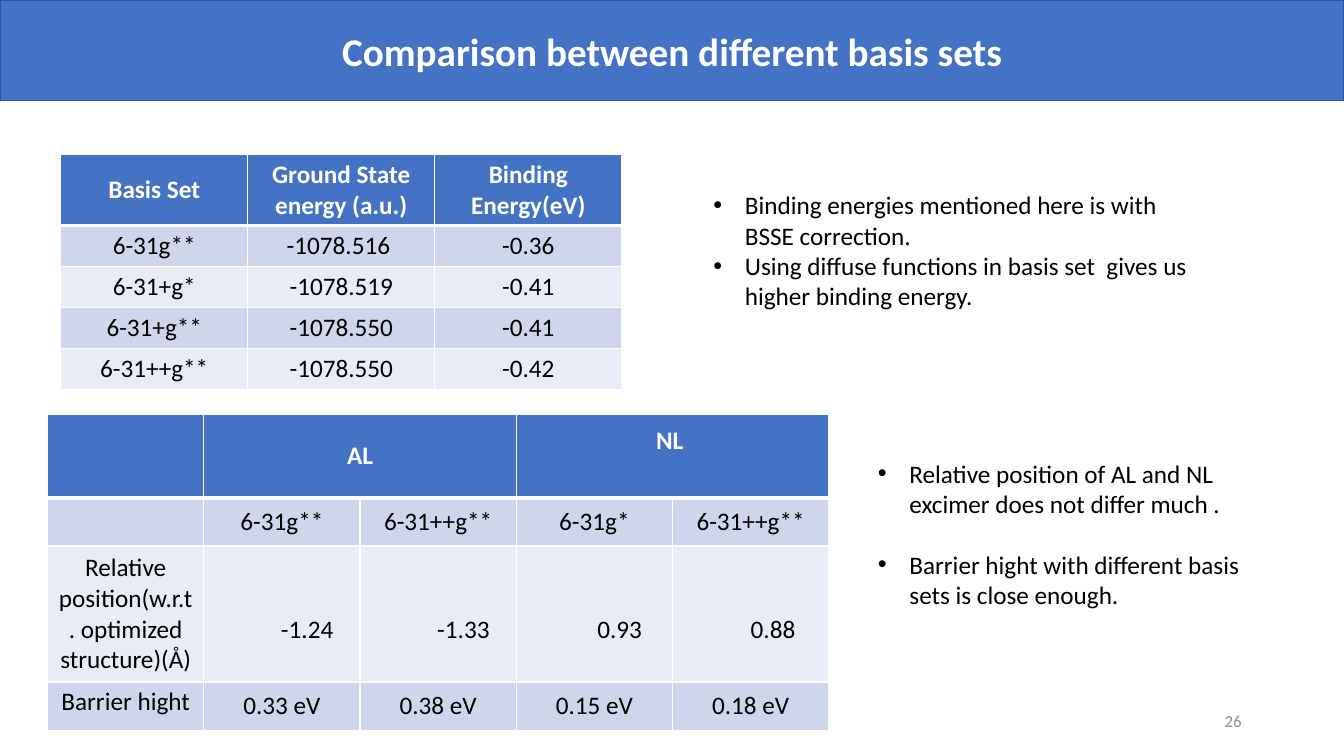
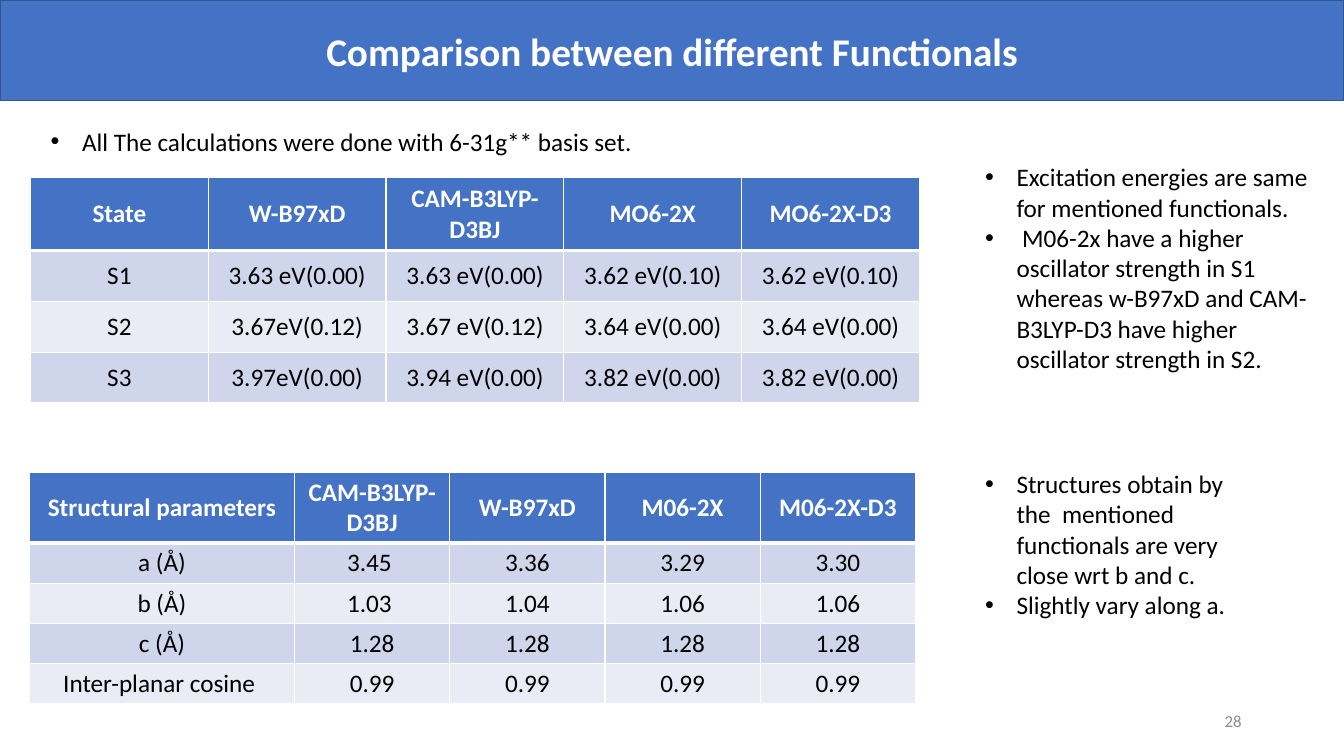
from dataclasses import dataclass, field

from lxml.etree import SubElement
from pptx import Presentation
from pptx.dml.color import RGBColor
from pptx.enum.text import MSO_ANCHOR as Anchor, MSO_AUTO_SIZE as AutoSize, PP_ALIGN as Align
from pptx.oxml.ns import qn
from pptx.slide import Slide
from pptx.table import _Cell as TableCell
from pptx.text.text import TextFrame, _Paragraph as Paragraph
from pptx.util import Pt


# Theme: colours, type sizes and shared measures
@dataclass(frozen=True)
class Theme:
    font: str = "Calibri"
    band: str = "4472C4"
    band_line: str = "325491"
    stripes: tuple[str, str] = ("CFD5EA", "E9EBF5")
    white: str = "FFFFFF"
    text: str = "000000"
    number: str = "8C8C8C"
    title_size: float = 28
    body_size: float = 18
    number_size: float = 12
    line_height: float = 22
    bullet_indent: float = 22.5
    side_margin: float = 7.2
    cell_margin: float = 3.3


THEME = Theme()
SLIDE_WIDTH, SLIDE_HEIGHT, BAND_HEIGHT = 960, 540, 72


# Content records
@dataclass(frozen=True)
class Cell:
    text: str
    span: int = 1
    anchor: Anchor = Anchor.MIDDLE
    left: float = 0
    above: float = 0
    below: float = 0


@dataclass(frozen=True)
class Grid:
    left: float
    top: float
    columns: list[float]
    rows: list[float]
    cells: list[list[str | Cell | None]]


@dataclass(frozen=True)
class Bullets:
    left: float
    top: float
    width: float
    height: float
    items: list[str]
    gap: float = 0


@dataclass(frozen=True)
class Page:
    title: str
    number: str
    grids: list[Grid] = field(default_factory=list)
    bullets: list[Bullets] = field(default_factory=list)


def rgb(colour: str) -> RGBColor:
    return RGBColor.from_string(colour)


# Text
def add_bullet(paragraph: Paragraph) -> None:
    properties = paragraph._p.get_or_add_pPr()
    indent = Pt(THEME.bullet_indent)
    properties.set("marL", str(indent))
    properties.set("indent", str(-indent))
    SubElement(properties, qn("a:buFont")).set("typeface", "Arial")
    SubElement(properties, qn("a:buChar")).set("char", "•")


def write_text(frame: TextFrame, text: str, *, size: float = THEME.body_size,
               colour: str = THEME.text, bold: bool = False, align: Align = Align.LEFT,
               anchor: Anchor = Anchor.TOP, bullet: bool = False, gap: float = 0) -> None:
    """Write one paragraph for each line of text."""
    frame.word_wrap = True
    frame.vertical_anchor = anchor
    for index, line in enumerate(text.split("\n")):
        paragraph = frame.add_paragraph() if index else frame.paragraphs[0]
        if bullet:
            add_bullet(paragraph)
        paragraph.alignment = align
        paragraph.space_before = Pt(gap if index else 0)
        run = paragraph.add_run()
        run.text = line
        run.font.name = THEME.font
        run.font.size = Pt(size)
        run.font.bold = bold
        run.font.color.rgb = rgb(colour)


def add_text(slide: Slide, left: float, top: float, width: float, height: float,
             text: str, **text_format) -> None:
    box = slide.shapes.add_textbox(Pt(left), Pt(top), Pt(width), Pt(height))
    write_text(box.text_frame, text, **text_format)


# Title band
def set_title(slide: Slide, text: str) -> None:
    title = slide.shapes.title
    title.left, title.top = Pt(0), Pt(0)
    title.width, title.height = Pt(SLIDE_WIDTH), Pt(BAND_HEIGHT)
    title.fill.solid()
    title.fill.fore_color.rgb = rgb(THEME.band)
    title.line.color.rgb = rgb(THEME.band_line)
    title.line.width = Pt(1)
    title.text_frame.auto_size = AutoSize.NONE
    write_text(title.text_frame, text, size=THEME.title_size, colour=THEME.white,
               bold=True, align=Align.CENTER, anchor=Anchor.MIDDLE)


# Tables
def set_borders(cell: TableCell, row: int) -> None:
    properties = cell._tc.get_or_add_tcPr()
    widths = {"lnL": 1, "lnR": 1, "lnT": 3 if row == 1 else 1, "lnB": 3 if row == 0 else 1}
    for name, width in widths.items():
        line = SubElement(properties, qn(f"a:{name}"))
        line.set("w", str(Pt(width)))
        fill = SubElement(line, qn("a:solidFill"))
        SubElement(fill, qn("a:srgbClr")).set("val", THEME.white)


def style_cell(cell: TableCell, content: Cell, row: int) -> None:
    header = row == 0
    set_borders(cell, row)
    cell.fill.solid()
    cell.fill.fore_color.rgb = rgb(THEME.band if header else THEME.stripes[(row - 1) % 2])
    cell.margin_left = Pt(THEME.side_margin + content.left)
    cell.margin_right = Pt(THEME.side_margin)
    cell.margin_top = Pt(THEME.cell_margin + content.above)
    cell.margin_bottom = Pt(THEME.cell_margin + content.below)
    if content.text:
        write_text(cell.text_frame, content.text, bold=header, align=Align.CENTER,
                   colour=THEME.white if header else THEME.text)
    cell.vertical_anchor = content.anchor


def add_grid(slide: Slide, grid: Grid) -> None:
    frame = slide.shapes.add_table(len(grid.rows), len(grid.columns), Pt(grid.left), Pt(grid.top),
                                   Pt(sum(grid.columns)), Pt(sum(grid.rows)))
    table = frame.table
    for column, width in zip(table.columns, grid.columns):
        column.width = Pt(width)
    for row, height in zip(table.rows, grid.rows):
        row.height = Pt(height)
    for row, contents in enumerate(grid.cells):
        for column, content in enumerate(contents):
            cell = table.cell(row, column)
            if content is None:  # covered by the merged cell on its left
                style_cell(cell, Cell(""), row)
                continue
            content = content if isinstance(content, Cell) else Cell(content)
            if content.span > 1:
                cell.merge(table.cell(row, column + content.span - 1))
            style_cell(cell, content, row)


def build_page(presentation, page: Page) -> None:
    slide = presentation.slides.add_slide(presentation.slide_layouts.get_by_name("Title Only"))
    set_title(slide, page.title)
    for grid in page.grids:
        add_grid(slide, grid)
    for block in page.bullets:
        add_text(slide, block.left, block.top, block.width, block.height,
                 "\n".join(block.items), bullet=True, gap=block.gap)
    add_text(slide, 678, 500.5, 216, 28.8, page.number, size=THEME.number_size,
             colour=THEME.number, align=Align.RIGHT, anchor=Anchor.MIDDLE)


# Content
def position(value: str) -> Cell:
    return Cell(value, left=36, above=THEME.line_height)


BASIS_SETS = Page(
    "Comparison between different basis sets", "26",
    grids=[
        Grid(43.4, 110.5, [133.6] * 3, [49.6] + [29.3] * 4, [
            ["Basis Set", "Ground State energy (a.u.)", "Binding\nEnergy(eV)"],
            ["6-31g**", "-1078.516 ", "-0.36"],
            ["6-31+g*", "-1078.519", "-0.41"],
            ["6-31+g**", "-1078.550", "-0.41"],
            ["6-31++g**", "-1078.550", "-0.42"],
        ]),
        Grid(34, 296, [111.6] * 5, [59.5, 34.5, 97.2, 34.5], [
            ["", Cell("AL", span=2), None, Cell("NL ", span=2, below=THEME.line_height), None],
            ["", "6-31g**", "6-31++g**", "6-31g*", "6-31++g**"],
            ["Relative position(w.r.t. optimized structure)(Å)",
             *map(position, ("-1.24", "-1.33", "0.93", "0.88 "))],
            [Cell("Barrier hight", anchor=Anchor.TOP), "0.33 eV", "0.38 eV", "0.15 eV", "0.18 eV"],
        ]),
    ],
    bullets=[
        Bullets(502.5, 132, 367, 138, [
            "Binding energies mentioned here is with BSSE correction.",
            "Using diffuse functions in basis set  gives us higher binding energy.",
        ]),
        Bullets(620, 323.5, 286, 117, [
            "Relative position of AL and NL excimer does not differ much .",
            "Barrier hight with different basis sets is close enough.",
        ], gap=THEME.line_height),
    ],
)

FUNCTIONALS = Page(
    "Comparison between different Functionals", "28",
    grids=[
        Grid(21.8, 127, [127] * 5, [52] + [36.3] * 3, [
            ["State", "W-B97xD", "CAM-B3LYP-D3BJ", "MO6-2X", "MO6-2X-D3"],
            ["S1", "3.63 eV(0.00)", "3.63 eV(0.00)", "3.62 eV(0.10)", "3.62 eV(0.10)"],
            ["S2", "3.67eV(0.12)", "3.67 eV(0.12)", "3.64 eV(0.00)", "3.64 eV(0.00)"],
            ["S3", "3.97eV(0.00)", "3.94 eV(0.00)", "3.82 eV(0.00)", "3.82 eV(0.00)"],
        ]),
        Grid(21, 337.5, [189.4] + [110.9] * 4, [50.4] + [28.7] * 4, [
            ["Structural parameters", "CAM-B3LYP-D3BJ", "W-B97xD", "M06-2X", "M06-2X-D3"],
            ["a (Å)", "3.45 ", "3.36", "3.29", "3.30"],
            ["b (Å)", "1.03 ", "1.04", "1.06", "1.06"],
            ["c (Å)"] + ["1.28"] * 4,
            ["Inter-planar cosine "] + ["0.99"] * 4,
        ]),
    ],
    bullets=[
        Bullets(29, 86.5, 491, 29, ["All The calculations were done with 6-31g** basis set."]),
        Bullets(696.5, 112, 256, 160, [
            "Excitation energies are same for mentioned functionals.",
            " M06-2x have a higher oscillator strength in S1 whereas w-B97xD "
            "and CAM-B3LYP-D3 have higher oscillator strength in S2.",
        ]),
        Bullets(696.5, 331, 206, 138, [
            "Structures obtain by the  mentioned functionals are very close wrt b and c.",
            "Slightly vary along a.",
        ]),
    ],
)


def main() -> None:
    presentation = Presentation()
    presentation.slide_width, presentation.slide_height = Pt(SLIDE_WIDTH), Pt(SLIDE_HEIGHT)
    for page in (BASIS_SETS, FUNCTIONALS):
        build_page(presentation, page)
    presentation.save("out.pptx")


if __name__ == "__main__":
    main()
